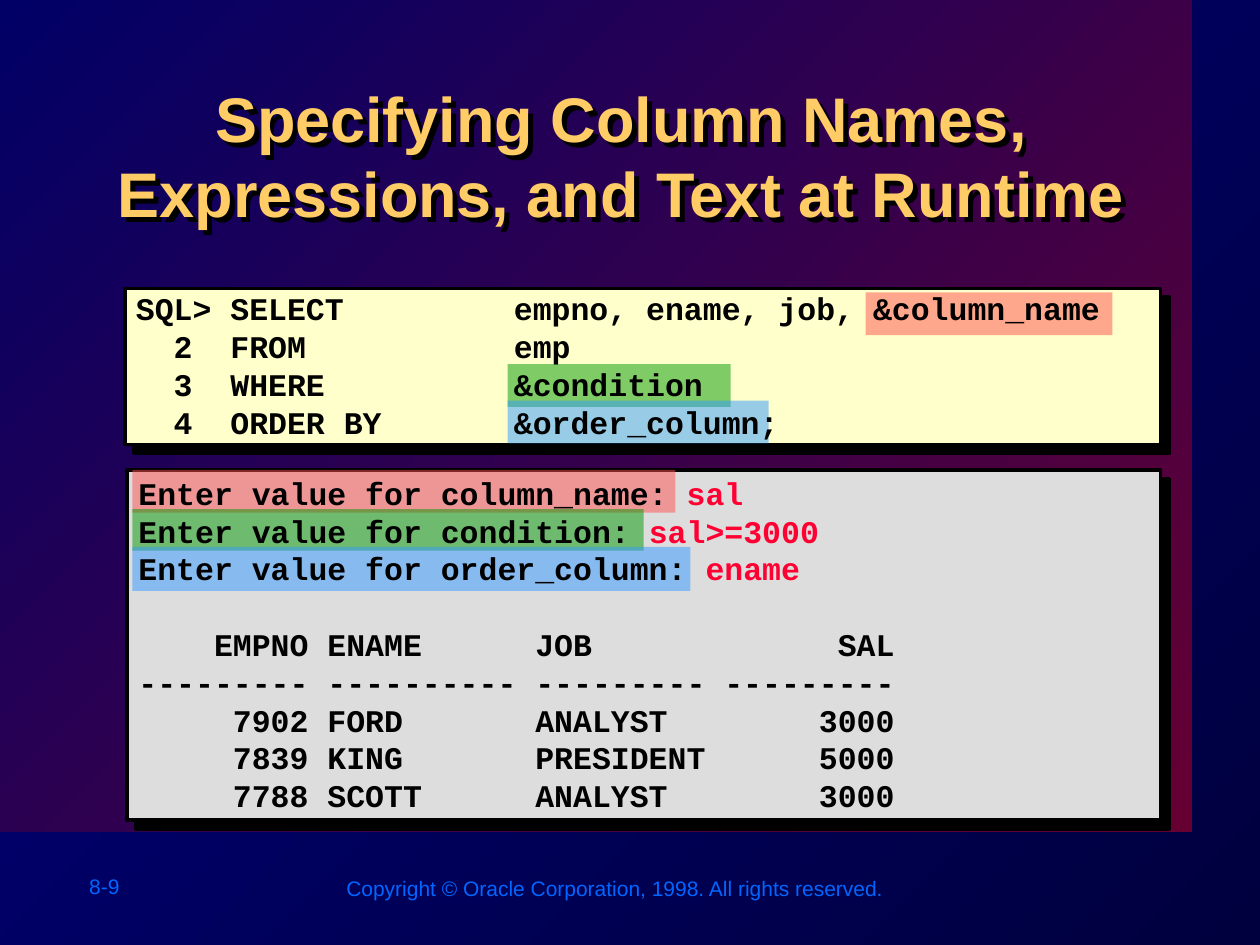
"""Build the slide on substitution variables for column names, expressions and text."""
from dataclasses import dataclass

from lxml.etree import SubElement
from pptx import Presentation
from pptx.dml.color import RGBColor
from pptx.dml.fill import FillFormat
from pptx.enum.shapes import MSO_SHAPE
from pptx.enum.text import MSO_ANCHOR, PP_ALIGN
from pptx.oxml.ns import qn
from pptx.shapes.autoshape import Shape
from pptx.slide import Slide
from pptx.text.text import _Paragraph as Paragraph
from pptx.util import Inches, Pt

BLACK = RGBColor(0x00, 0x00, 0x00)
NAVY = RGBColor(0x00, 0x00, 0x3F)
BLUE = RGBColor(0x00, 0x00, 0x80)
MAROON = RGBColor(0x66, 0x00, 0x33)
INDIGO = RGBColor(0x00, 0x00, 0x66)
GOLD = RGBColor(0xFF, 0xCC, 0x66)
FOOTER_BLUE = RGBColor(0x00, 0x66, 0xFF)
CREAM = RGBColor(0xFF, 0xFF, 0xCC)
GREY = RGBColor(0xDD, 0xDD, 0xDD)
INPUT_RED = RGBColor(0xFF, 0x00, 0x33)
MARK_RED = RGBColor(0xFF, 0x50, 0x50)
MARK_GREEN = RGBColor(0x00, 0x99, 0x00)
MARK_BLUE = RGBColor(0x33, 0x99, 0xFF)


@dataclass(frozen=True)
class Box:
    left: float
    top: float
    width: float
    height: float

    def lengths(self) -> tuple[int, ...]:
        return tuple(Inches(n) for n in (self.left, self.top, self.width, self.height))


@dataclass(frozen=True)
class Highlight:
    box: Box
    color: RGBColor


@dataclass(frozen=True)
class CodeLine:
    text: str
    answer: str = ""
    space_before: float = 0


HIGHLIGHTS = (
    Highlight(Box(6.87, 2.32, 1.96, 0.34), MARK_RED),
    Highlight(Box(1.05, 3.73, 4.31, 0.34), MARK_RED),
    Highlight(Box(4.03, 2.89, 1.77, 0.34), MARK_GREEN),
    Highlight(Box(1.05, 4.04, 4.06, 0.33), MARK_GREEN),
    Highlight(Box(4.03, 3.18, 2.07, 0.34), MARK_BLUE),
    Highlight(Box(1.05, 4.34, 4.43, 0.35), MARK_BLUE),
)
QUERY = (
    CodeLine("SQL> SELECT\t\tempno, ename, job, &column_name"),
    CodeLine("  2  FROM\t\temp"),
    CodeLine("  3  WHERE\t\t&condition"),
    CodeLine("  4  ORDER BY\t\t&order_column;"),
)
RESULT = (
    CodeLine("Enter value for column_name: ", "sal"),
    CodeLine("Enter value for condition: ", "sal>=3000"),
    CodeLine("Enter value for order_column: ", "ename"),
    CodeLine("    EMPNO ENAME      JOB             SAL", space_before=21.6),
    CodeLine("--------- ---------- --------- ---------"),
    CodeLine("     7902 FORD       ANALYST        3000"),
    CodeLine("     7839 KING       PRESIDENT      5000"),
    CodeLine("     7788 SCOTT      ANALYST        3000"),
)


def set_gradient(fill: FillFormat, start: RGBColor, end: RGBColor) -> None:
    fill.gradient()
    fill.gradient_angle = 135
    for stop, color in zip(fill.gradient_stops, (start, end)):
        stop.color.rgb = color


def add_rectangle(slide: Slide, box: Box) -> Shape:
    shape = slide.shapes.add_shape(MSO_SHAPE.RECTANGLE, *box.lengths())
    shape.shadow.inherit = False
    shape.line.fill.background()
    return shape


def add_shadow(shape: Shape, distance: float) -> None:
    shape.shadow.inherit = False
    effects = shape.element.spPr.find(qn("a:effectLst"))
    shadow = SubElement(effects, qn("a:outerShdw"), dist=str(Pt(distance)),
                        dir="2700000", algn="ctr", rotWithShape="0")
    SubElement(shadow, qn("a:srgbClr"), val=str(BLACK))


def add_panel(slide: Slide, box: Box, color: RGBColor) -> None:
    panel = add_rectangle(slide, box)
    panel.fill.solid()
    panel.fill.fore_color.rgb = color
    panel.line.color.rgb = BLACK
    panel.line.width = Pt(2)
    add_shadow(panel, 7.1)


def add_highlight(slide: Slide, highlight: Highlight) -> None:
    shape = add_rectangle(slide, highlight.box)
    shape.fill.solid()
    shape.fill.fore_color.rgb = highlight.color
    color = shape.element.spPr.find(qn("a:solidFill"))[0]
    SubElement(color, qn("a:alpha"), val="50000")


def add_tabs(paragraph: Paragraph) -> None:
    tabs = SubElement(paragraph._p.get_or_add_pPr(), qn("a:tabLst"))
    for position in (2, 3):
        SubElement(tabs, qn("a:tab"), pos=str(Inches(position)), algn="l")


def add_code_run(paragraph: Paragraph, text: str, color: RGBColor) -> None:
    run = paragraph.add_run()
    run.text = text
    run.font.name = "Courier New"
    run.font.size = Pt(18)
    run.font.bold = True
    run.font.color.rgb = color


def add_code(slide: Slide, box: Box, lines: tuple[CodeLine, ...]) -> None:
    frame = slide.shapes.add_textbox(*box.lengths()).text_frame
    frame.word_wrap = False
    frame.vertical_anchor = MSO_ANCHOR.MIDDLE
    for index, line in enumerate(lines):
        paragraph = frame.add_paragraph() if index else frame.paragraphs[0]
        add_tabs(paragraph)
        if line.space_before:
            paragraph.space_before = Pt(line.space_before)
        add_code_run(paragraph, line.text, BLACK)
        if line.answer:
            add_code_run(paragraph, line.answer, INPUT_RED)


def add_footer(slide: Slide, box: Box, text: str) -> None:
    frame = slide.shapes.add_textbox(*box.lengths()).text_frame
    frame.word_wrap = False
    frame.text = text
    font = frame.paragraphs[0].runs[0].font
    font.name = "Arial"
    font.size = Pt(12)
    font.color.rgb = FOOTER_BLUE


def format_title(title: Shape) -> None:
    title.left, title.top, title.width, title.height = Box(0.78, 0.58, 8.3, 0.96).lengths()
    frame = title.text_frame
    frame.text = "Specifying Column Names, Expressions, and Text at Runtime"
    frame.word_wrap = True
    frame.vertical_anchor = MSO_ANCHOR.TOP
    paragraph = frame.paragraphs[0]
    paragraph.alignment = PP_ALIGN.CENTER
    font = paragraph.runs[0].font
    font.name = "Arial"
    font.size = Pt(36)
    font.bold = True
    font.color.rgb = GOLD
    add_shadow(title, 4)


def main() -> None:
    presentation = Presentation()
    presentation.slide_width, presentation.slide_height = Inches(10), Inches(7.5)
    slide = presentation.slides.add_slide(presentation.slide_layouts[5])
    set_gradient(slide.background.fill, NAVY, BLUE)
    backdrop = add_rectangle(slide, Box(0, 0, 9.46, 6.6))
    set_gradient(backdrop.fill, MAROON, INDIGO)
    title = slide.shapes.title
    title.element.addprevious(backdrop.element)
    format_title(title)
    add_footer(slide, Box(0.61, 6.88, 1.11, 0.3), "8-9")
    add_footer(slide, Box(2.65, 6.9, 4.48, 0.3),
               "Copyright © Oracle Corporation, 1998. All rights reserved.")
    add_panel(slide, Box(0.99, 2.29, 8.22, 1.24), CREAM)
    add_panel(slide, Box(1.01, 3.73, 8.2, 2.78), GREY)
    for highlight in HIGHLIGHTS:
        add_highlight(slide, highlight)
    add_code(slide, Box(0.98, 2.27, 8.19, 1.25), QUERY)
    add_code(slide, Box(1, 3.72, 8.19, 2.78), RESULT)
    presentation.save("out.pptx")


if __name__ == "__main__":
    main()
